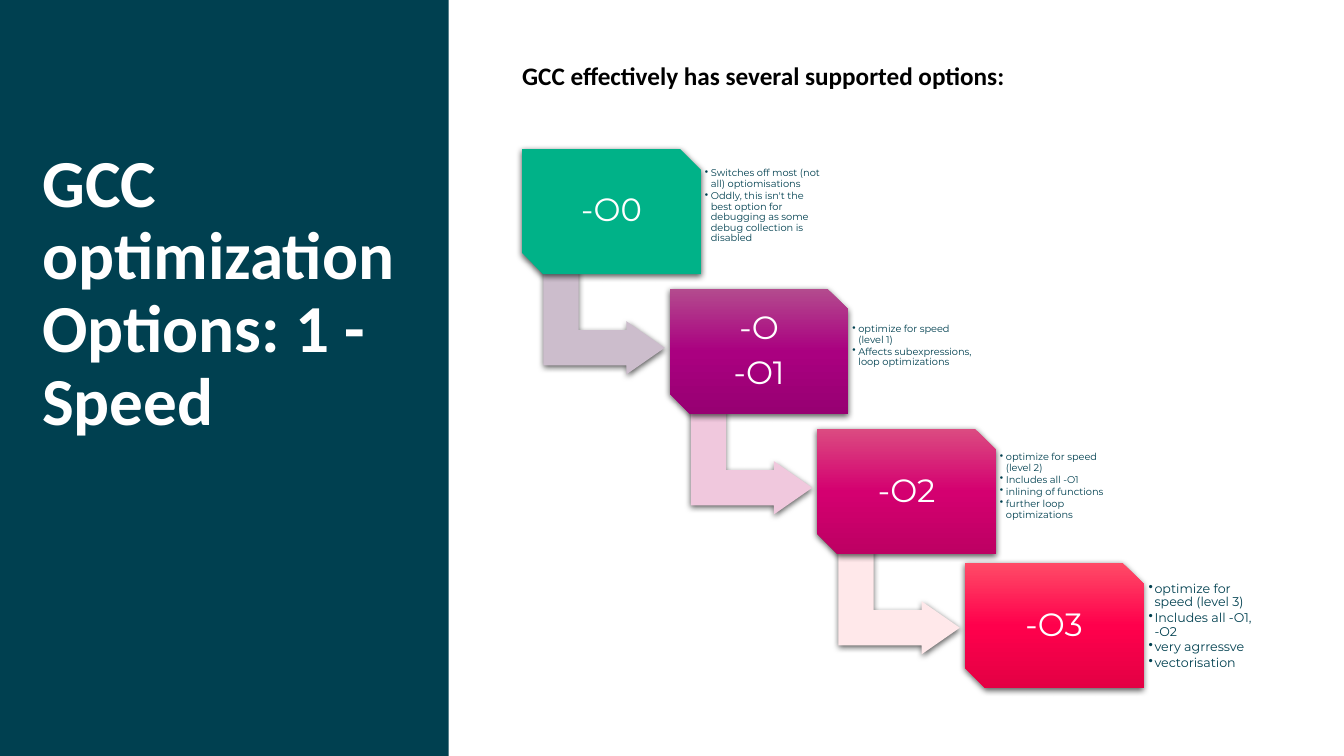
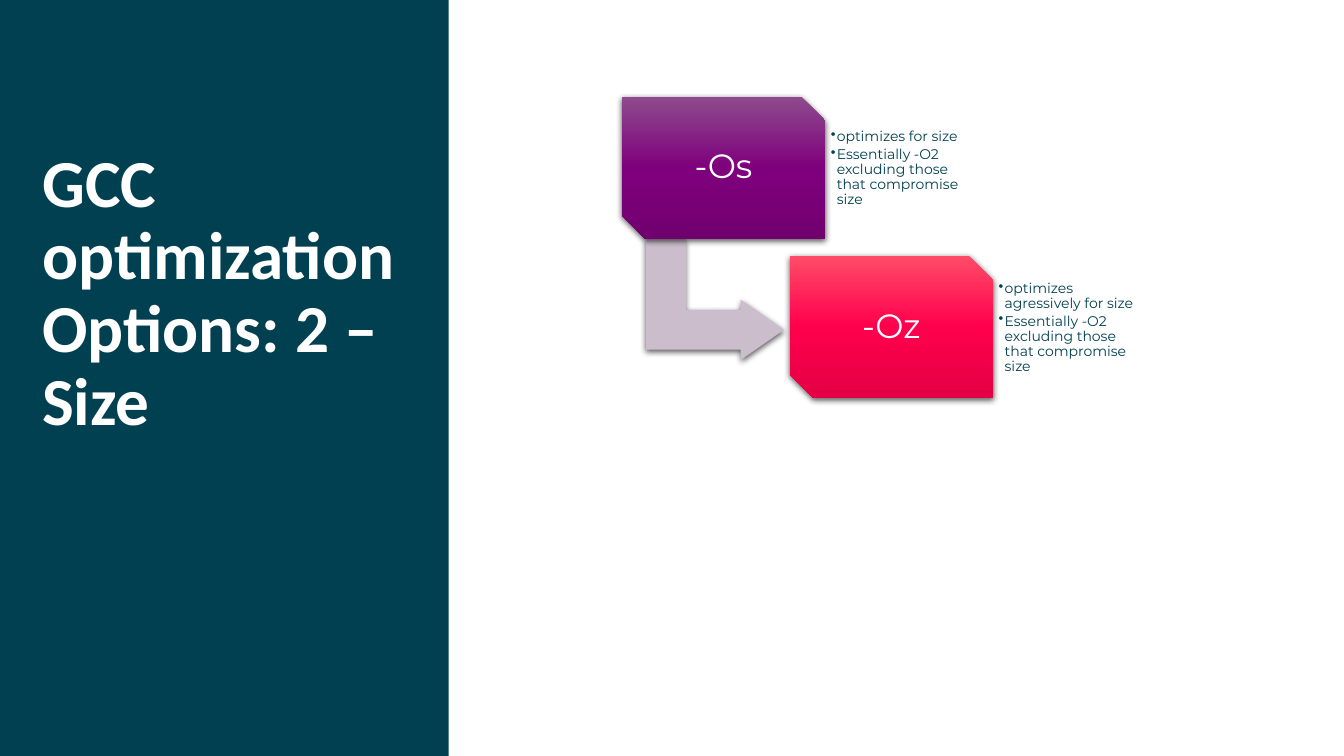
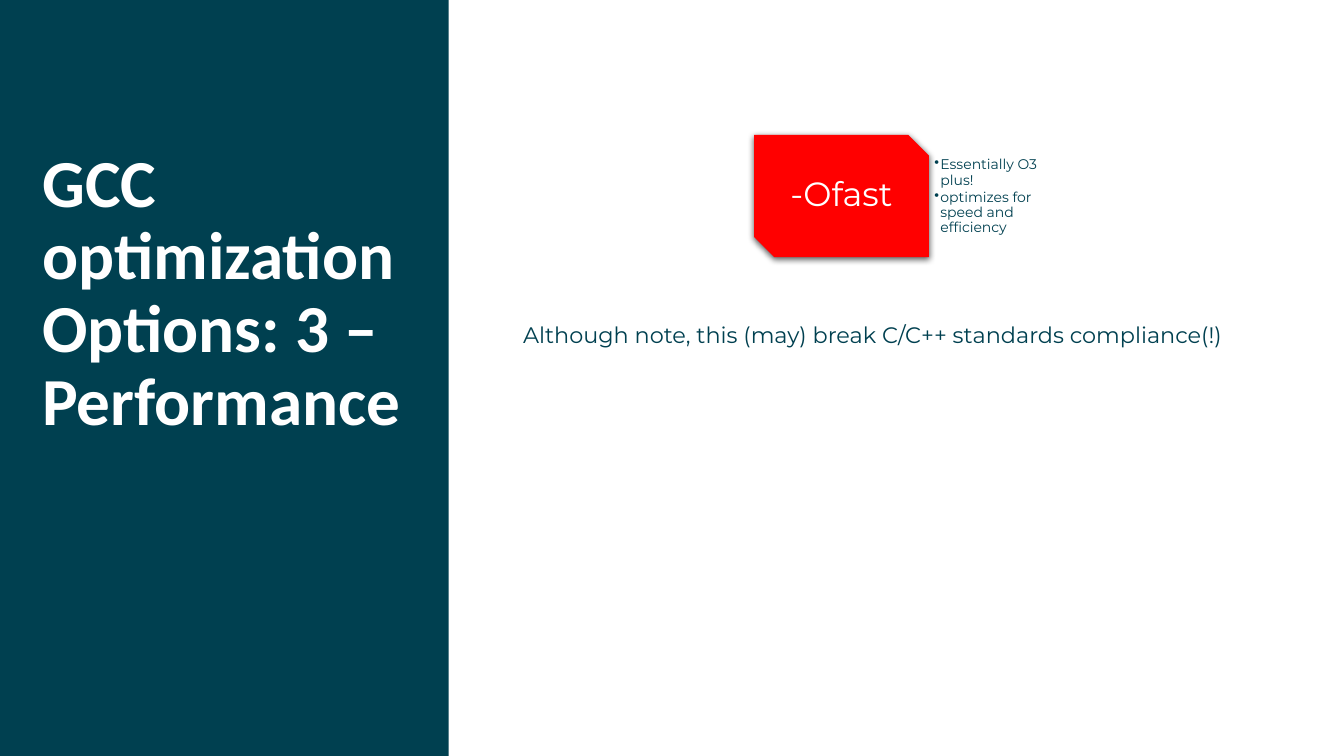
from copy import deepcopy
from dataclasses import dataclass

from lxml import etree
from pptx import Presentation
from pptx.dml.color import RGBColor
from pptx.enum.shapes import MSO_SHAPE
from pptx.enum.text import MSO_ANCHOR, MSO_AUTO_SIZE, PP_ALIGN
from pptx.oxml.ns import qn
from pptx.util import Pt

RECT, ARROW, CARD = MSO_SHAPE.RECTANGLE, MSO_SHAPE.BENT_UP_ARROW, MSO_SHAPE.SNIP_2_DIAG_RECTANGLE
LEFT, CENTER = PP_ALIGN.LEFT, PP_ALIGN.CENTER
TOP, MIDDLE = MSO_ANCHOR.TOP, MSO_ANCHOR.MIDDLE
NO_AUTOFIT = MSO_AUTO_SIZE.NONE

HEAD_FONT, TEXT_FONT = "Calibri", "Montserrat"
WHITE = RGBColor(0xFF, 0xFF, 0xFF)
BLACK = RGBColor(0x00, 0x00, 0x00)
TEAL = RGBColor(0x00, 0x40, 0x50)
RED = RGBColor(0xFF, 0x00, 0x00)
GREEN = RGBColor(0x00, 0xB2, 0x88)
MAUVE = RGBColor(0xCC, 0xBD, 0xCC)
PINK = RGBColor(0xF0, 0xC8, 0xDD)
BLUSH = RGBColor(0xFF, 0xE8, 0xEA)
PURPLES = (RGBColor(0x8D, 0x4B, 0x8C), RGBColor(0x7F, 0x00, 0x7D), RGBColor(0x71, 0x00, 0x6F))
PLUMS = (RGBColor(0xB3, 0x4B, 0x8E), RGBColor(0xAA, 0x00, 0x80), RGBColor(0x97, 0x00, 0x72))
MAGENTAS = (RGBColor(0xDB, 0x4B, 0x81), RGBColor(0xD4, 0x00, 0x70), RGBColor(0xBD, 0x00, 0x63))
CRIMSONS = (RGBColor(0xFF, 0x4B, 0x67), RGBColor(0xFF, 0x00, 0x4C), RGBColor(0xE3, 0x00, 0x44))

# Proportions of a step, relative to the card height
CARD_W = 1.43
STEP_X, STEP_Y = 1.18, 1.12
ARROW_X, ARROW_W, ARROW_H = 0.17, 0.97, 0.85
DETAIL_Y, DETAIL_W, DETAIL_H = 0.1, 1.04, 0.81
INDENT = 4.3


@dataclass(frozen=True)
class Step:
    label: str
    details: str
    colors: tuple[RGBColor, ...]
    arrow: RGBColor | None = None
    detail_size: float = 10
    drop: float = 0


@dataclass(frozen=True)
class Cascade:
    left: float
    top: float
    card_h: float
    label_size: float
    steps: tuple[Step, ...]


@dataclass(frozen=True)
class Body:
    text: str
    left: float
    top: float
    width: float
    height: float
    font: str
    size: float
    color: RGBColor
    bold: bool = False


@dataclass(frozen=True)
class Page:
    title: str
    cascade: Cascade
    body: Body | None = None


PAGES = (
    Page(
        "GCC\noptimization Options: 1 - Speed",
        Cascade(373, 102.2, 89.3, 23, (
            Step("-O0", "Switches off most (not all) optiomisations\n"
                 "Oddly, this isn't the best option for debugging as some debug collection is disabled",
                 (GREEN,), MAUVE, 7, 4.3),
            Step("-O\n-O1", "optimize for speed (level 1)\nAffects subexpressions, loop optimizations",
                 PLUMS, PINK, 7, 4.3),
            Step("-O2", "optimize for speed (level 2)\nIncludes all -O1\n"
                 "inlining of functions\nfurther loop optimizations",
                 MAGENTAS, BLUSH, 7, 4.3),
            Step("-O3", "optimize for speed (level 3)\nIncludes all -O1, -O2\n"
                 "very agrressve\nvectorisation", CRIMSONS, detail_size=9),
        )),
        Body("GCC effectively has several supported options:",
             373, 43.2, 557, 322.6, HEAD_FONT, 18, BLACK, True),
    ),
    Page(
        "GCC\noptimization Options: 2 –Size",
        Cascade(444.2, 69.2, 101.6, 24, (
            Step("-Os", "optimizes for size\nEssentially -O2 excluding those that compromise size",
                 PURPLES, MAUVE),
            Step("-Oz", "optimizes agressively for size\n"
                 "Essentially -O2 excluding those that compromise size", CRIMSONS),
        )),
    ),
    Page(
        "GCC\noptimization Options: 3 –Performance",
        Cascade(538.6, 96.4, 87.3, 24, (
            Step("-Ofast", "Essentially O3 plus!\noptimizes for speed and efficiency", (RED,)),
        )),
        Body("Although note, this (may) break C/C++ standards compliance(!)",
             373.7, 229.7, 545, 54, TEXT_FONT, 16, TEAL),
    ),
)


def place(s, left: float, top: float, width: float, height: float) -> None:
    s.left, s.top, s.width, s.height = Pt(left), Pt(top), Pt(width), Pt(height)


def write(s, text: str, font: str, size: float, color: RGBColor, *, bold: bool = False,
          align=LEFT, anchor=TOP, inset: float = 0, line: float = 1, after: float = 0,
          bullet: str = "", indent: float = 0) -> None:
    """Fill a shape with one uniformly formatted paragraph per line of text."""
    tf = s.text_frame
    tf.text = text
    tf.word_wrap = True
    tf.auto_size = NO_AUTOFIT
    tf.vertical_anchor = anchor
    tf.margin_left = tf.margin_top = tf.margin_right = tf.margin_bottom = Pt(inset)
    for p in tf.paragraphs:
        props = p._p.get_or_add_pPr()
        props.set("marL", str(Pt(indent)))
        props.set("indent", str(-Pt(indent)))
        if bullet:
            etree.SubElement(props, qn("a:buChar"), char=bullet)
        else:
            etree.SubElement(props, qn("a:buNone"))
        p.alignment = align
        p.line_spacing = line
        p.space_before = Pt(0)
        p.space_after = Pt(after)
        p.font.name = font
        p.font.size = Pt(size)
        p.font.bold = bold
        p.font.color.rgb = color


def paint(s, colors: tuple[RGBColor, ...]) -> None:
    """Fill with one colour, or with three as a gradient from top to bottom."""
    s.line.fill.background()
    s.shadow.inherit = False
    fill = s.fill
    if len(colors) == 1:
        fill.solid()
        fill.fore_color.rgb = colors[0]
        return
    fill.gradient()
    fill.gradient_angle = 270
    stops = s.element.spPr.find(".//" + qn("a:gsLst"))
    stops.insert(1, deepcopy(stops[0]))
    for stop, color, position in zip(fill.gradient_stops, colors, (0, 0.5, 1)):
        stop.color.rgb = color
        stop.position = position


def add_shadow(s) -> None:
    effects = s.element.spPr.find(qn("a:effectLst"))
    shadow = etree.SubElement(effects, qn("a:outerShdw"), blurRad=str(Pt(4.5)),
                              dist=str(Pt(1.5)), dir="5400000", rotWithShape="0")
    color = etree.SubElement(shadow, qn("a:srgbClr"), val="000000")
    etree.SubElement(color, qn("a:alpha"), val="63000")


def add_shape(slide, kind, left: float, top: float, width: float, height: float,
              colors: tuple[RGBColor, ...]):
    s = slide.shapes.add_shape(kind, Pt(left), Pt(top), Pt(width), Pt(height))
    paint(s, colors)
    return s


def add_arrow(slide, left: float, top: float, card_h: float, color: RGBColor) -> None:
    """Draw an arrow turned a quarter; left and top are those of the turned arrow."""
    width, height = ARROW_W * card_h, ARROW_H * card_h
    shift = (width - height) / 2
    s = add_shape(slide, ARROW, left + shift, top - shift, height, width, (color,))
    s.rotation = 90
    for i, value in enumerate((0.33, 0.25, 0.36)):
        s.adjustments[i] = value
    add_shadow(s)


def add_cascade(slide, cascade: Cascade) -> None:
    h = cascade.card_h
    for i, step in enumerate(cascade.steps):
        x = cascade.left + i * STEP_X * h
        y = cascade.top + i * STEP_Y * h
        if step.arrow is not None:
            add_arrow(slide, x + ARROW_X * h, y + h, h, step.arrow)
        card = add_shape(slide, CARD, x, y + step.drop, CARD_W * h, h, step.colors)
        add_shadow(card)
        write(card, step.label, TEXT_FONT, cascade.label_size, WHITE, align=CENTER,
              anchor=MIDDLE, inset=7.2, line=0.9, after=8)
        details = slide.shapes.add_textbox(Pt(x + CARD_W * h), Pt(y + DETAIL_Y * h),
                                           Pt(DETAIL_W * h), Pt(DETAIL_H * h))
        write(details, step.details, TEXT_FONT, step.detail_size, TEAL, anchor=MIDDLE,
              inset=0.4 * step.detail_size, line=0.9, after=0.15 * step.detail_size,
              bullet="•", indent=INDENT)


def add_page(prs, page: Page):
    slide = prs.slides.add_slide(prs.slide_layouts[1 if page.body else 5])
    title = slide.shapes.title
    place(title, 30.2, 106.6, 271.4, 216.7)
    write(title, page.title, HEAD_FONT, 48, WHITE, bold=True, line=0.9)
    if page.body:
        b = page.body
        s = slide.placeholders[1]
        place(s, b.left, b.top, b.width, b.height)
        write(s, b.text, b.font, b.size, b.color, bold=b.bold, after=6.5)
    add_cascade(slide, page.cascade)
    return slide


def add_master_band(prs, slide) -> None:
    """Draw the side band and move it behind everything on the slide master."""
    band = add_shape(slide, RECT, 0, 0, 320.4, 540, (TEAL,))
    prs.slide_master.shapes.element.insert(2, band.element)


def main() -> None:
    prs = Presentation()
    prs.slide_width, prs.slide_height = Pt(960), Pt(540)
    slides = [add_page(prs, page) for page in PAGES]
    add_master_band(prs, slides[0])
    prs.save("out.pptx")


if __name__ == "__main__":
    main()
